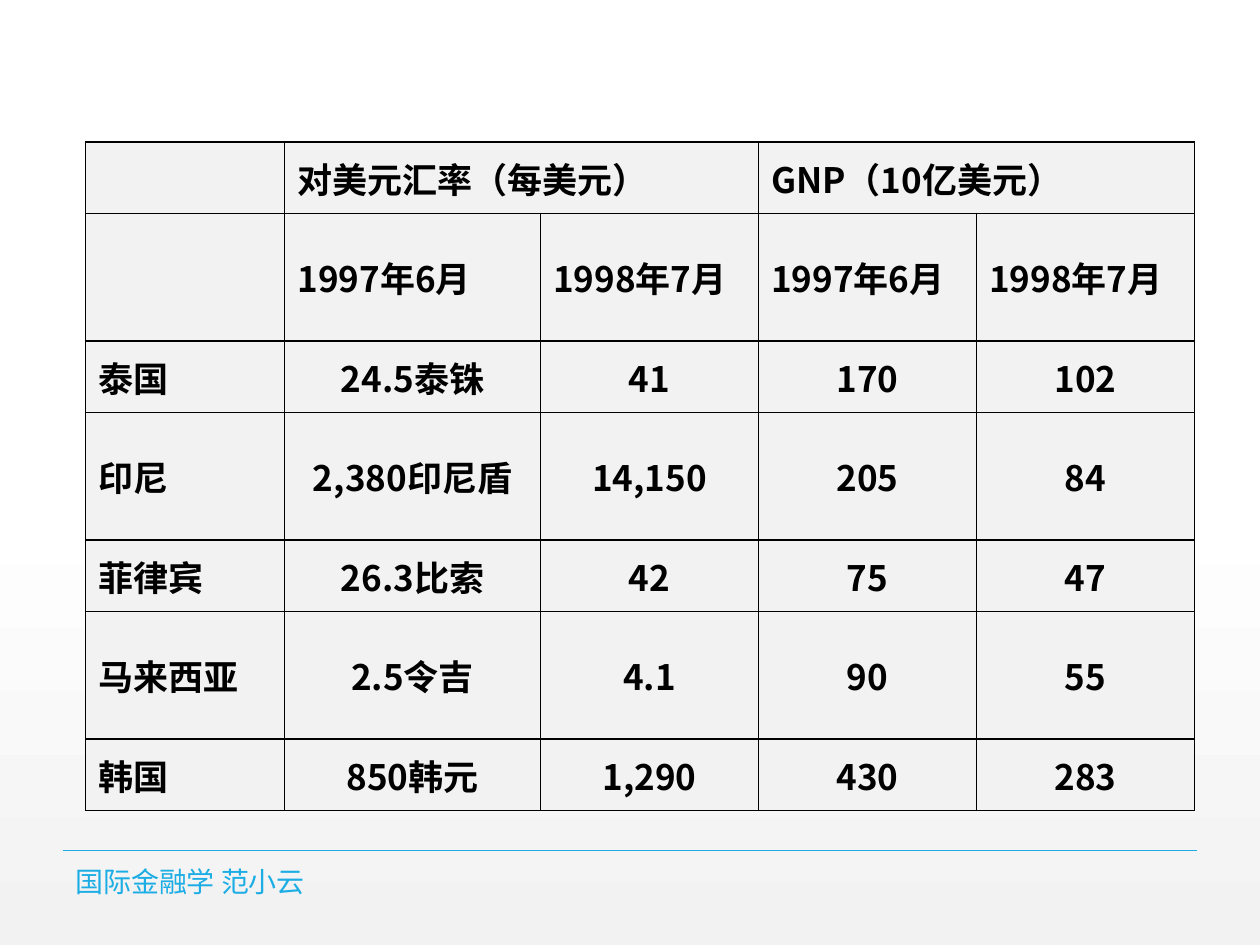
from dataclasses import dataclass
from itertools import product

from lxml import etree
from pptx import Presentation
from pptx import util as u
from pptx.dml.color import RGBColor
from pptx.enum import shapes, text
from pptx.oxml.ns import qn


@dataclass(frozen=True)
class Theme:
    font: str = "Noto Sans CJK SC"
    accent: str = "1CADE4"
    ink: str = "000000"
    paper: str = "FFFFFF"
    shade: str = "F2F2F2"
    table_size: int = 20
    footer_size: int = 16
    line_width: float = 1


@dataclass(frozen=True)
class Box:
    """A place given as shares of the slide's width and height."""
    x: float
    y: float
    w: float
    h: float

    def emu(self) -> tuple[int, int, int, int]:
        return (int(self.x * WIDTH), int(self.y * HEIGHT),
                int(self.w * WIDTH), int(self.h * HEIGHT))


@dataclass(frozen=True)
class Country:
    name: str
    rate_1997: str
    rate_1998: str
    gnp_1997: str
    gnp_1998: str

    def cells(self) -> list[str]:
        return [self.name, self.rate_1997, self.rate_1998,
                self.gnp_1997, self.gnp_1998]


THEME = Theme()
WIDTH, HEIGHT = u.Inches(10), u.Inches(7.5)
MARGIN, RULE_Y = 0.05, 0.9
TABLE = Box(0.068, 0.15, 0.88, 0.71)
FOOTER = Box(MARGIN, 0.917, 0.503, 0.032)
COLUMNS = [1.58, 2.03, 1.73, 1.73, 1.73]
LOW_ROW, TALL_ROW = 0.57, 1.01

HEADINGS = [
    ["", "对美元汇率（每美元）", "", "GNP（10亿美元）", ""],
    ["", "1997年6月", "1998年7月", "1997年6月", "1998年7月"],
]
COUNTRIES = [
    Country("泰国", "24.5泰铢", "41", "170", "102"),
    Country("印尼", "2,380印尼盾", "14,150", "205", "84"),
    Country("菲律宾", "26.3比索", "42", "75", "47"),
    Country("马来西亚", "2.5令吉", "4.1", "90", "55"),
    Country("韩国", "850韩元", "1,290", "430", "283"),
]


def rgb(value: str) -> RGBColor:
    return RGBColor.from_string(value)


def write(tf, words: str, *, size: int, color: str, bold: bool = False,
          align=text.PP_ALIGN.LEFT) -> None:
    p = tf.paragraphs[0]
    p.alignment = align
    r = p.add_run()
    r.text = words
    r.font.size, r.font.bold, r.font.name = u.Pt(size), bold, THEME.font
    r.font.color.rgb = rgb(color)
    ea = etree.SubElement(r.font._element, qn("a:ea"))
    ea.set("typeface", THEME.font)


def draw_background(s) -> None:
    fill = s.background.fill
    fill.gradient()
    fill.gradient_angle = 270
    stops = [(0.53, THEME.paper), (1, THEME.shade)]
    for stop, (position, color) in zip(fill.gradient_stops, stops):
        stop.position = position
        stop.color.rgb = rgb(color)


def draw_footer(s) -> None:
    y = int(RULE_Y * HEIGHT)
    rule = s.shapes.add_connector(
        shapes.MSO_CONNECTOR.STRAIGHT,
        int(MARGIN * WIDTH), y, int((1 - MARGIN) * WIDTH), y)
    rule.line.color.rgb = rgb(THEME.accent)
    rule.line.width = u.Pt(THEME.line_width)
    etree.SubElement(rule._element.spPr, qn("a:effectLst"))

    sp = s.shapes.add_textbox(*FOOTER.emu())
    tf = sp.text_frame
    tf.word_wrap = True
    tf.vertical_anchor = text.MSO_ANCHOR.MIDDLE
    tf.margin_top = tf.margin_bottom = 0
    write(tf, "国际金融学 范小云", size=THEME.footer_size, color=THEME.accent)


def style_cell(cell) -> None:
    tc_pr = cell._tc.get_or_add_tcPr()
    for side in ("lnL", "lnR", "lnT", "lnB"):
        ln = etree.SubElement(tc_pr, qn(f"a:{side}"),
                              w=str(u.Pt(THEME.line_width)))
        solid = etree.SubElement(ln, qn("a:solidFill"))
        etree.SubElement(solid, qn("a:srgbClr"), val=THEME.ink)
    cell.fill.solid()
    cell.fill.fore_color.rgb = rgb(THEME.shade)
    cell.vertical_anchor = text.MSO_ANCHOR.MIDDLE


def draw_table(s) -> None:
    rows = HEADINGS + [country.cells() for country in COUNTRIES]
    table = s.shapes.add_table(len(rows), len(COLUMNS), *TABLE.emu()).table
    table.first_row = table.horz_banding = False
    for column, width in zip(table.columns, COLUMNS):
        column.width = u.Inches(width)
    for i, row in enumerate(table.rows):
        row.height = u.Inches(TALL_ROW if i % 2 else LOW_ROW)

    # Each group heading covers two dates
    for first in (1, 3):
        table.cell(0, first).merge(table.cell(0, first + 1))

    for i, j in product(range(len(rows)), range(len(COLUMNS))):
        cell = table.cell(i, j)
        style_cell(cell)
        if rows[i][j]:
            is_figure = i >= len(HEADINGS) and j > 0
            write(cell.text_frame, rows[i][j], size=THEME.table_size,
                  color=THEME.ink, bold=True,
                  align=text.PP_ALIGN.CENTER if is_figure
                  else text.PP_ALIGN.LEFT)


def main() -> None:
    prs = Presentation()
    prs.slide_width, prs.slide_height = WIDTH, HEIGHT
    s = prs.slides.add_slide(prs.slide_layouts[6])
    draw_background(s)
    draw_footer(s)
    draw_table(s)
    prs.save("out.pptx")


if __name__ == "__main__":
    main()
